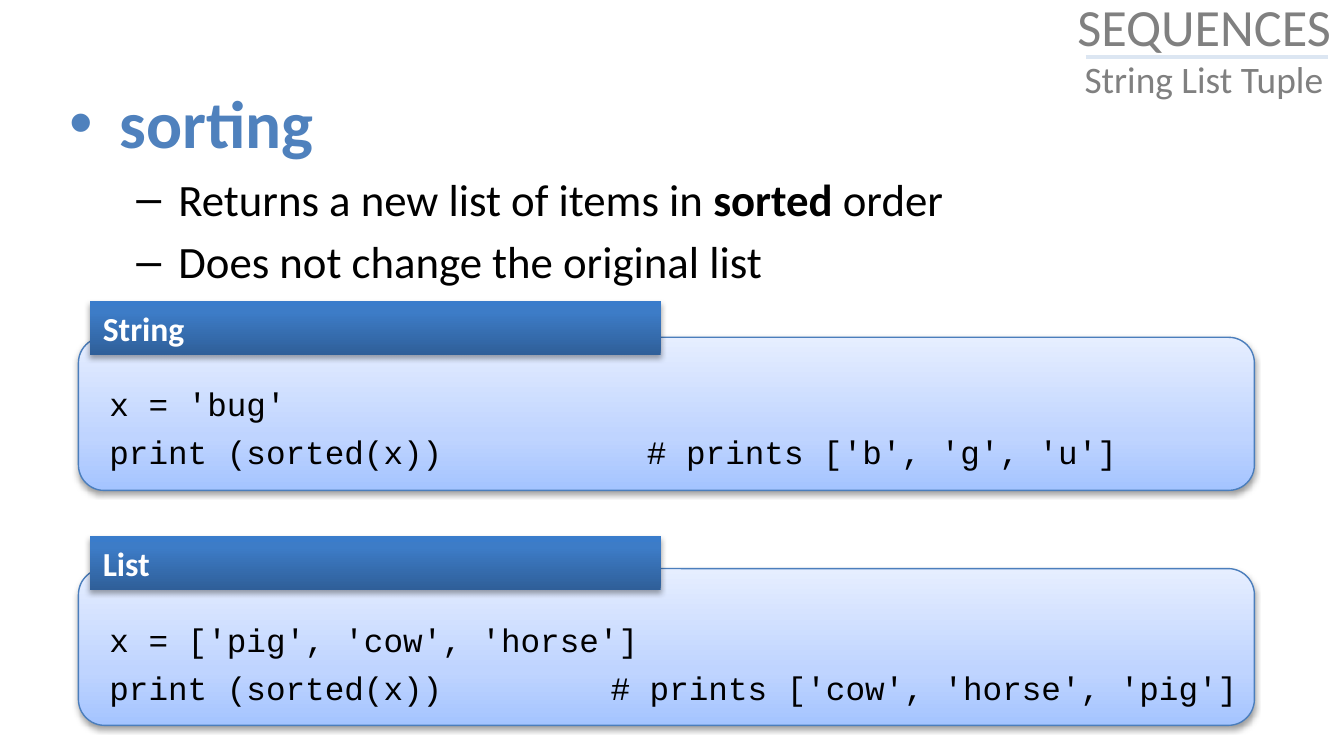
from dataclasses import dataclass
from lxml import etree
from pptx import Presentation
from pptx.dml.color import RGBColor as RGB
from pptx.enum.shapes import MSO_CONNECTOR as Connector, MSO_SHAPE as Preset
from pptx.enum.text import MSO_ANCHOR as Anchor, MSO_AUTO_SIZE as AutoSize, PP_ALIGN as Align
from pptx.oxml.ns import qn
from pptx.util import Pt


@dataclass(frozen=True)
class Theme:
    body_font: str = "Calibri"
    code_font: str = "Courier New"
    accent: str = "4F81BD"
    ink: str = "000000"
    white: str = "FFFFFF"
    muted: str = "808080"
    rule: str = "DCE6F2"
    panel_edge: str = "4B7EBC"
    panel_stops: tuple = ((0, "A4C4FF"), (35, "BFD4FF"), (100, "E6EEFF"))
    tag_stops: tuple = ((0, "2F5F99"), (80, "3D7CC7"), (100, "3A7CCB"))
    topic_size: float = 36
    title_size: float = 28
    point_size: float = 24
    subtitle_size: float = 20
    tag_size: float = 18
    code_size: float = 17.5


class SlideBuilder:
    """Draws the elements of a slide in one theme."""

    def __init__(self, slide, theme):
        self.slide, self.theme = slide, theme

    def style(self, paragraph, size, color, font=None, bold=False):
        for run in paragraph.runs:
            run.font.name = font or self.theme.body_font
            run.font.size, run.font.bold = Pt(size), bold
            run.font.color.rgb = RGB.from_string(color)

    def text_box(self, shapes, left, top, width, height, lines):
        box = shapes.add_textbox(Pt(left), Pt(top), Pt(width), Pt(height))
        box.text_frame.word_wrap = True
        box.text_frame.text = "\n".join(lines)
        return box.text_frame

    def title(self, left, top, width, height, heading, subtitle):
        title = self.slide.shapes.title
        title.left, title.top, title.width, title.height = map(Pt, (left, top, width, height))
        frame = title.text_frame
        frame.text = f"{heading}\n{subtitle}"
        frame.auto_size, frame.vertical_anchor = AutoSize.NONE, Anchor.MIDDLE
        for paragraph, size in zip(frame.paragraphs, (self.theme.title_size, self.theme.subtitle_size)):
            paragraph.alignment = Align.CENTER
            self.style(paragraph, size, self.theme.muted)

    def rule(self, left, right, y):
        rule = self.slide.shapes.add_connector(Connector.STRAIGHT, Pt(left), Pt(y), Pt(right), Pt(y))
        rule.line.color.rgb, rule.line.width = RGB.from_string(self.theme.rule), Pt(2)
        etree.SubElement(rule._element.spPr, qn("a:effectLst"))

    def bullet(self, paragraph, mark, margin, hanging, space):
        paragraph.space_before = Pt(space)
        properties = paragraph._p.get_or_add_pPr()
        properties.set("marL", str(Pt(margin)))
        properties.set("indent", str(-Pt(hanging)))
        etree.SubElement(properties, qn("a:buFont"), typeface="Arial")
        etree.SubElement(properties, qn("a:buChar"), char=mark)

    def outline(self, left, top, width, height, topic, points, emphasis):
        theme = self.theme
        frame = self.text_box(self.slide.shapes, left, top, width, height, [topic, *points])
        head, *rest = frame.paragraphs
        self.style(head, theme.topic_size, theme.accent, bold=True)
        self.bullet(head, "•", 27, 27, 7.2)
        for paragraph in rest:
            before, word, after = paragraph.text.partition(emphasis)
            paragraph.text = before
            for part in filter(None, (word, after)):
                paragraph.add_run().text = part
            self.style(paragraph, theme.point_size, theme.ink)
            for run in paragraph.runs:
                run.font.bold = run.text == emphasis
            self.bullet(paragraph, "–", 58.5, 22.5, 4.8)

    def block(self, shapes, preset, left, top, width, height, stops, shadow_opacity):
        block = shapes.add_shape(preset, Pt(left), Pt(top), Pt(width), Pt(height))
        block.fill.gradient()
        block.fill.gradient_angle = 90
        stop_list = block._element.spPr.find(".//" + qn("a:gsLst"))
        stop_list.clear()
        for position, color in stops:
            stop = etree.SubElement(stop_list, qn("a:gs"), pos=str(position * 1000))
            etree.SubElement(stop, qn("a:srgbClr"), val=color)
        block.line.fill.background()
        effects = etree.SubElement(block._element.spPr, qn("a:effectLst"))
        shadow = etree.SubElement(effects, qn("a:outerShdw"), blurRad=str(Pt(3.1)),
                                  dist=str(Pt(1.7)), dir="5400000", rotWithShape="0")
        color = etree.SubElement(shadow, qn("a:srgbClr"), val=self.theme.ink)
        etree.SubElement(color, qn("a:alpha"), val=str(shadow_opacity * 1000))
        return block

    def example(self, label, tag_top, panel_top, panel_height, code_top, lines, comment_tab):
        theme = self.theme
        shapes = self.slide.shapes.add_group_shape().shapes
        panel = self.block(shapes, Preset.ROUNDED_RECTANGLE, 42, panel_top, 630, panel_height,
                           theme.panel_stops, 38)
        panel.line.color.rgb, panel.line.width = RGB.from_string(theme.panel_edge), Pt(0.75)

        code = self.text_box(shapes, 42, code_top, 642, 60, lines)
        code.margin_left = Pt(16.6)
        for paragraph in code.paragraphs:
            paragraph.space_before = Pt(4.8)
            self.style(paragraph, theme.code_size, theme.ink, theme.code_font)
            tabs = etree.SubElement(paragraph._p.get_or_add_pPr(), qn("a:tabLst"))
            etree.SubElement(tabs, qn("a:tab"), pos=str(Pt(comment_tab)), algn="l")

        tag = self.block(shapes, Preset.RECTANGLE, 48, tag_top, 306, 28.8, theme.tag_stops, 35)
        tag.text_frame.text = label
        tag.text_frame.vertical_anchor = Anchor.MIDDLE
        paragraph = tag.text_frame.paragraphs[0]
        paragraph.alignment = Align.LEFT
        self.style(paragraph, theme.tag_size, theme.white, bold=True)


deck = Presentation()
deck.slide_width, deck.slide_height = Pt(720), Pt(405)
builder = SlideBuilder(deck.slides.add_slide(deck.slide_layouts[5]), Theme())

builder.title(564, -1.5, 162, 54, "SEQUENCES", "String List Tuple")
builder.outline(30, 40.3, 648, 114, "sorting",
                ["Returns a new list of items in sorted order", "Does not change the original list"],
                "sorted")
builder.example("String", 161.3, 180.7, 82, 202.3,
                ["x = 'bug'", "print (sorted(x))\t# prints ['b', 'g', 'u']"], 288)
builder.example("List", 287.3, 304.6, 84, 328.3,
                ["x = ['pig', 'cow', 'horse']",
                 "print (sorted(x))\t# prints ['cow', 'horse', 'pig']"], 268.5)
builder.rule(581.8, 711.4, 30.5)

deck.save("out.pptx")
